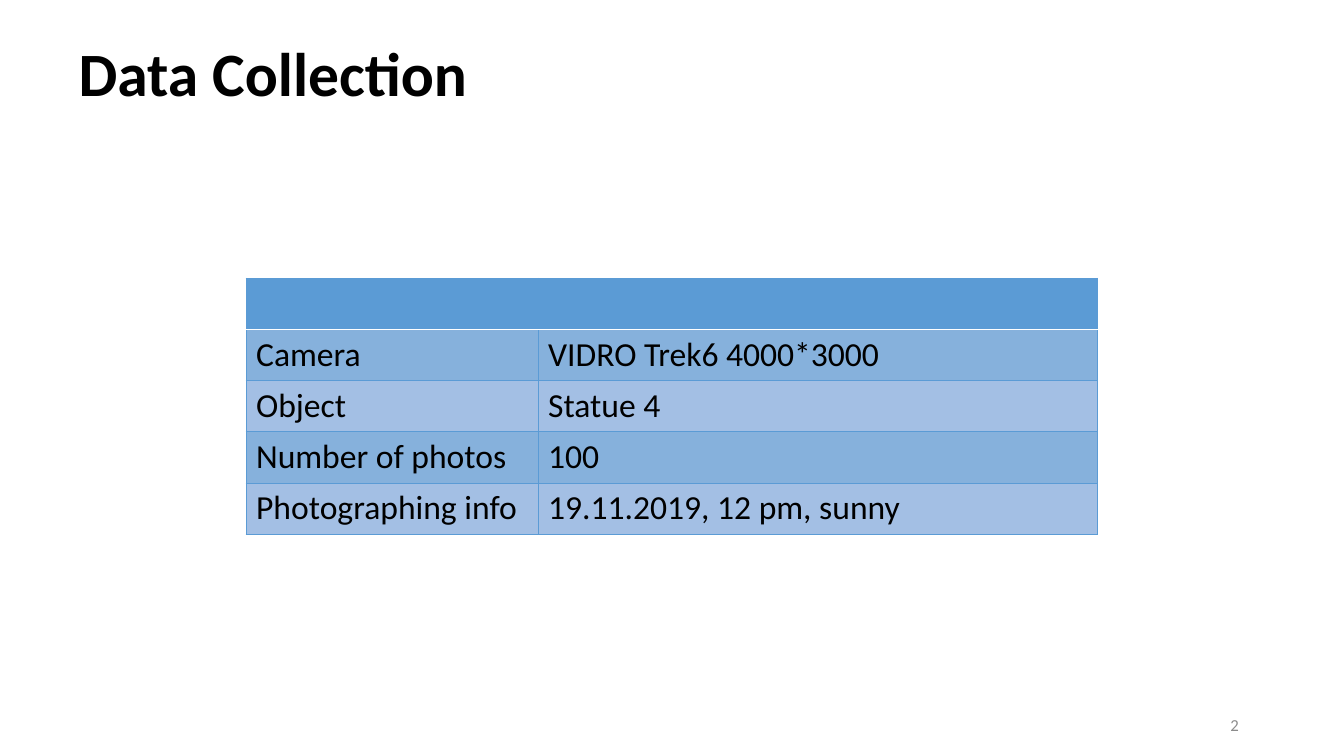
from dataclasses import dataclass

from lxml.etree import SubElement
from pptx import Presentation
from pptx.dml.color import RGBColor
from pptx.enum.text import MSO_ANCHOR as Anchor, PP_ALIGN as Align
from pptx.oxml.ns import qn
from pptx.util import Cm, Pt

TITLE = "Data Collection"
PAGE_NUMBER = "2"
FACTS = [
    ("", ""),
    ("Camera", "VIDRO Trek6 4000*3000"),
    ("Object", "Statue 4"),
    ("Number of photos", "100"),
    ("Photographing info", "19.11.2019, 12 pm, sunny"),
]


@dataclass(frozen=True)
class Theme:
    font: str = "Calibri"
    text: str = "000000"
    muted: str = "8C8C8C"
    accent: str = "5B9BD5"
    band_dark: str = "86B1DC"
    band_light: str = "A3BFE4"
    white: str = "FFFFFF"
    title_size: int = 44
    body_size: int = 24
    number_size: int = 12


THEME = Theme()
TABLE_LEFT, TABLE_TOP = 6.2, 7.01
COLUMN_WIDTHS = (7.36, 14.1)
ROW_HEIGHT = 1.29


def add_span(para, text, size, color=THEME.text, bold=False):
    span = para.add_run()
    span.text = text
    span.font.name = THEME.font
    span.font.size = Pt(size)
    span.font.bold = bold
    span.font.color.rgb = RGBColor.from_string(color)


def add_label(page, left, top, width, height):
    """Add a wrapping, vertically centred text box and return its paragraph."""
    frame = page.shapes.add_textbox(Cm(left), Cm(top), Cm(width), Cm(height)).text_frame
    frame.word_wrap = True
    frame.vertical_anchor = Anchor.MIDDLE
    return frame.paragraphs[0]


def add_border(cell, side, color, points):
    line = SubElement(cell._tc.get_or_add_tcPr(), qn(f"a:ln{side}"), w=str(Pt(points)))
    fill = SubElement(line, qn("a:solidFill"))
    SubElement(fill, qn("a:srgbClr"), val=color)


def style_cell(cell, row):
    """Draw borders, with a white rule under the header, then the band fill."""
    for side in "LRTB":
        under_header = (row, side) in ((0, "B"), (1, "T"))
        color, points = (THEME.white, 1) if under_header else (THEME.accent, 0.5)
        add_border(cell, side, color, points)
    band = THEME.band_dark if row % 2 else THEME.band_light
    cell.fill.solid()
    cell.fill.fore_color.rgb = RGBColor.from_string(band if row else THEME.accent)


def add_facts_table(page):
    table = page.shapes.add_table(
        len(FACTS), len(COLUMN_WIDTHS), Cm(TABLE_LEFT), Cm(TABLE_TOP),
        Cm(sum(COLUMN_WIDTHS)), Cm(ROW_HEIGHT * len(FACTS))).table
    for column, width in zip(table.columns, COLUMN_WIDTHS):
        column.width = Cm(width)
    for row, texts in enumerate(FACTS):
        table.rows[row].height = Cm(ROW_HEIGHT)
        for column, text in enumerate(texts):
            cell = table.cell(row, column)
            style_cell(cell, row)
            if text:
                add_span(cell.text_frame.paragraphs[0], text, THEME.body_size)


def main():
    deck = Presentation()
    deck.slide_width, deck.slide_height = Cm(33.87), Cm(19.05)
    page = deck.slides.add_slide(deck.slide_layouts[6])

    title = add_label(page, 1.73, 0.91, 24.77, 2.03)
    title.line_spacing = 0.9
    add_span(title, TITLE, THEME.title_size, bold=True)

    add_facts_table(page)

    number = add_label(page, 23.85, 17.75, 7.62, 1.02)
    number.alignment = Align.RIGHT
    add_span(number, PAGE_NUMBER, THEME.number_size, THEME.muted)

    deck.save("out.pptx")


if __name__ == "__main__":
    main()
